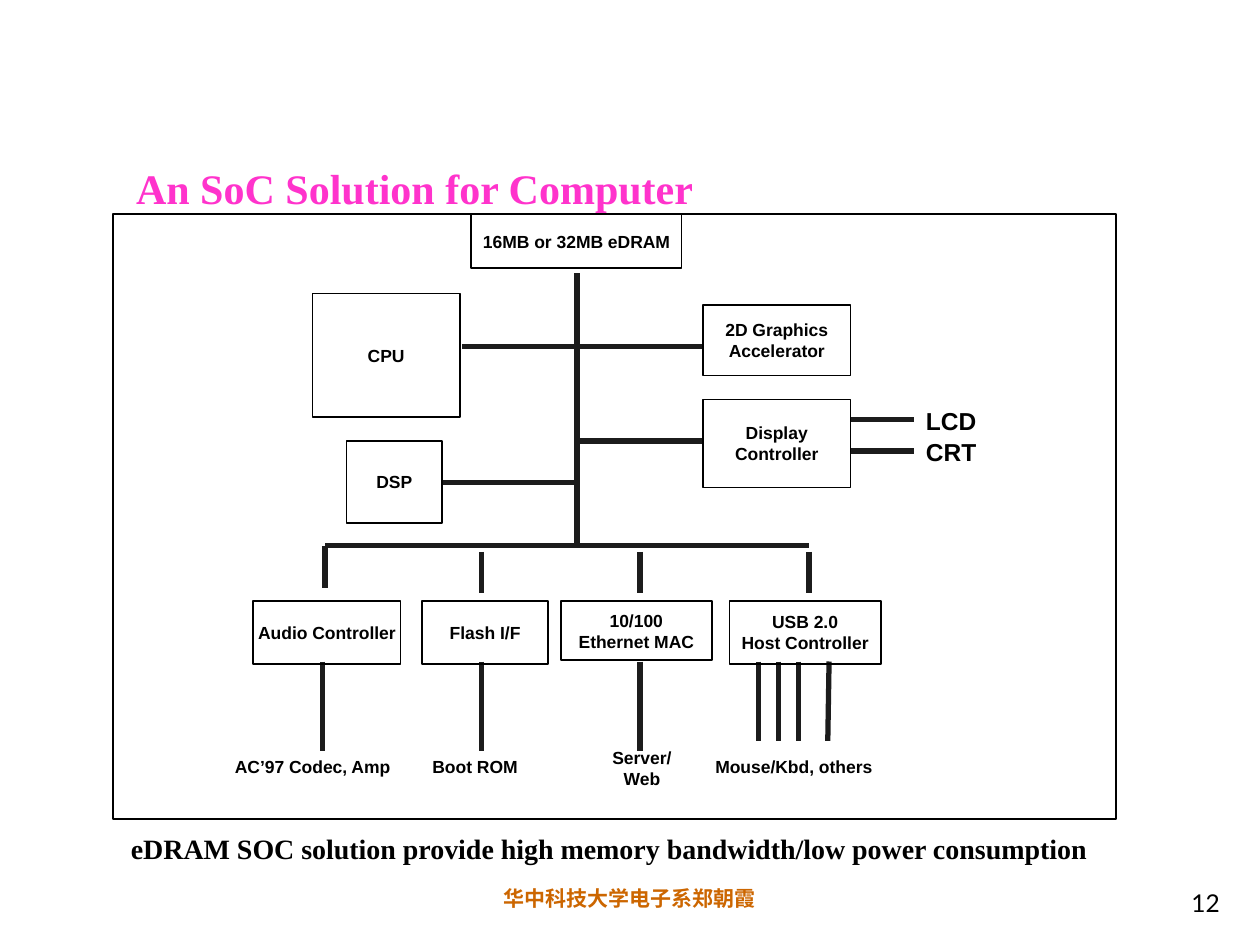
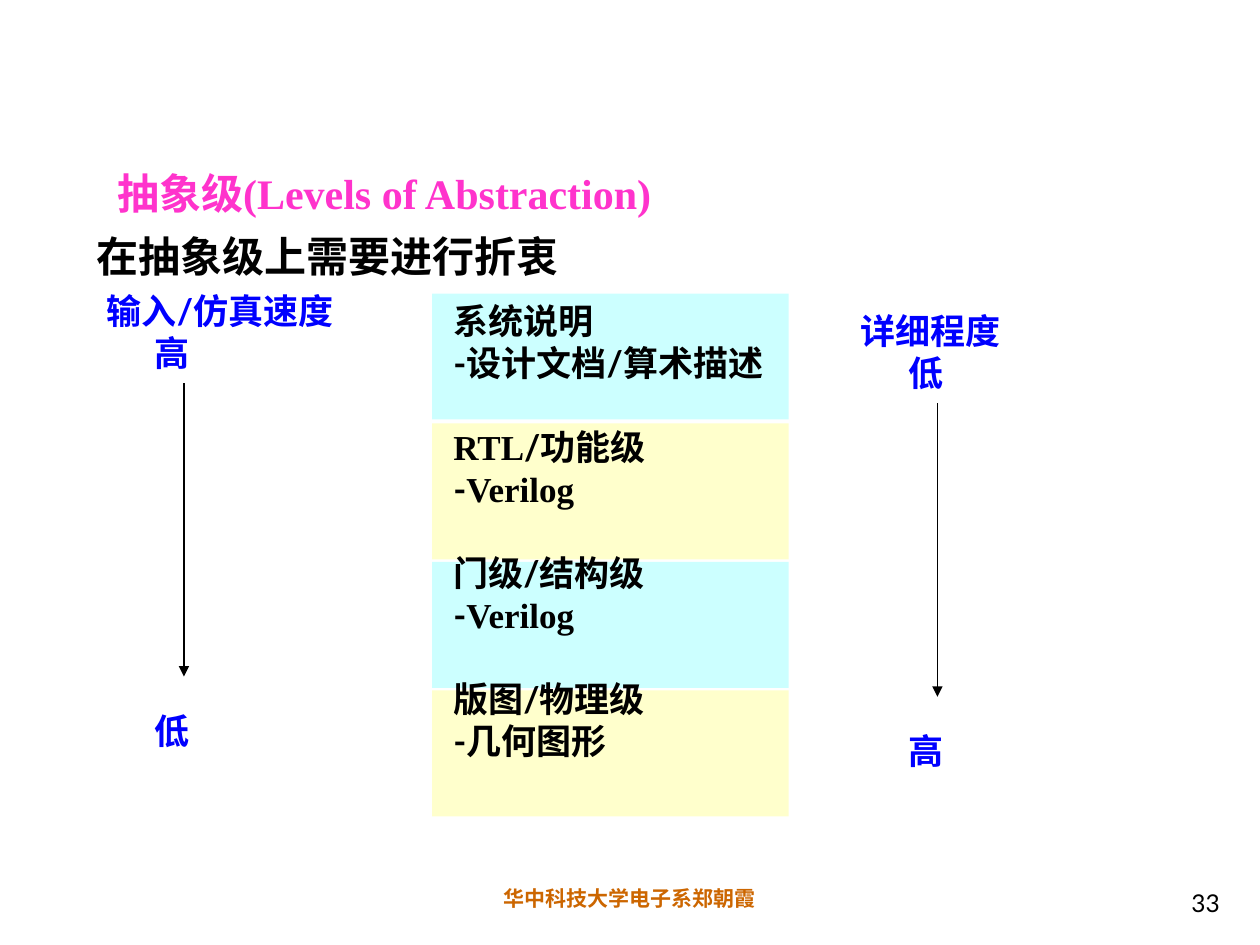
import dataclasses

import pptx
import pptx.dml.color
import pptx.enum.shapes
import pptx.enum.text
import pptx.oxml.ns
import pptx.util
from lxml import etree

Inches = pptx.util.Inches
Pt = pptx.util.Pt
ALIGN = pptx.enum.text.PP_ALIGN
ANCHOR = pptx.enum.text.MSO_ANCHOR
qn = pptx.oxml.ns.qn

HUES = {
    "ink": "000000",
    "pink": "FF33CC",
    "rust": "CC6600",
    "blue": "0000FF",
    "wire": "1C1C1C",
    "aqua": "CCFFFF",
    "cream": "FFFFCC",
}
SANS, LATO, SERIF = "Arial", "Lato", "Times New Roman"


@dataclasses.dataclass
class Row:
    """One paragraph: (text, font) runs, space before in points, left indent in inches."""
    runs: list
    gap: float = 0
    dent: float = 0


def rows(text, font):
    return [Row([(line, font)]) for line in text.split("\n")]


class Deck:
    def __init__(self):
        self.prs = pptx.Presentation()
        self.prs.slide_width = Inches(10)
        self.prs.slide_height = Inches(7.5)
        self.slide = None

    def hue(self, name):
        return pptx.dml.color.RGBColor.from_string(HUES[name])

    def place(self, shape, box):
        shape.left, shape.top, shape.width, shape.height = map(Inches, box)

    def letter(self, shape, lines, size, hue="ink", bold=True,
               align=ALIGN.LEFT, anchor=ANCHOR.TOP, wrap=True):
        frame = shape.text_frame
        frame.auto_size = pptx.enum.text.MSO_AUTO_SIZE.NONE
        frame.word_wrap = wrap
        frame.vertical_anchor = anchor
        for i, row in enumerate(lines):
            para = frame.paragraphs[0] if i == 0 else frame.add_paragraph()
            para.alignment = align
            para.space_before = Pt(row.gap)
            if row.dent:
                para._p.get_or_add_pPr().set("marL", str(Inches(row.dent)))
            for text, font in row.runs:
                run = para.add_run()
                run.text = text
                run.font.size = Pt(size)
                run.font.bold = bold
                run.font.name = font
                run.font.color.rgb = self.hue(hue)
                # Chinese characters always use the same face
                east = etree.SubElement(run._r.get_or_add_rPr(), qn("a:ea"))
                east.set("typeface", LATO)

    def page(self, number, box, runs):
        """Start a slide with its title, footer and page number."""
        self.slide = self.prs.slides.add_slide(self.prs.slide_layouts[5])
        title = self.slide.shapes.title
        self.place(title, box)
        self.letter(title, [Row(runs)], 24, "pink", anchor=ANCHOR.BOTTOM)
        self.text((0, 6.98, 10, 0.3), rows("华中科技大学电子系郑朝霞", LATO),
                  12, "rust", align=ALIGN.CENTER)
        self.text((7.7, 6.83, 2.08, 0.5), rows(number, LATO), 14, bold=False,
                  align=ALIGN.RIGHT, anchor=ANCHOR.BOTTOM)

    def text(self, box, lines, size, hue="ink", **style):
        shape = self.slide.shapes.add_textbox(*map(Inches, box))
        self.letter(shape, lines, size, hue, **style)

    def rect(self, box, label="", fill=None):
        """A filled band, or an outlined block with a centred label."""
        shape = self.slide.shapes.add_shape(
            pptx.enum.shapes.MSO_SHAPE.RECTANGLE, *map(Inches, box))
        shape.shadow.inherit = False
        if fill:
            shape.fill.solid()
            shape.fill.fore_color.rgb = self.hue(fill)
            shape.line.fill.background()
        else:
            shape.fill.background()
            shape.line.color.rgb = self.hue("ink")
            shape.line.width = Pt(1)
        if label:
            self.letter(shape, rows(label, SANS), 10, align=ALIGN.CENTER,
                        anchor=ANCHOR.MIDDLE, wrap=False)

    def line(self, x1, y1, x2, y2, hue="wire", width=3, arrow=False):
        wire = self.slide.shapes.add_connector(
            pptx.enum.shapes.MSO_CONNECTOR.STRAIGHT,
            *map(Inches, (x1, y1, x2, y2)))
        wire.line.color.rgb = self.hue(hue)
        wire.line.width = Pt(width)
        if arrow:
            tail = etree.SubElement(wire.line._get_or_add_ln(), qn("a:tailEnd"))
            tail.set("type", "triangle")
        etree.SubElement(wire._element.spPr, qn("a:effectLst"))


def draw_chip(deck):
    deck.page("12", (0.98, 1.23, 6.54, 0.51),
              [("An SoC Solution for Computer", SERIF)])
    deck.text((0.94, 6.55, 7.92, 0.4),
              rows("eDRAM SOC solution provide high memory bandwidth/"
                   "low power consumption", SERIF), 16)
    deck.rect((0.9, 1.7, 7.96, 4.8))

    # Main bus and its side branches
    bus, base = 4.58, 4.33
    deck.line(bus, 2.17, bus, base)
    deck.line(2.58, base, 6.42, base)
    for left, right, y in [(3.67, 5.58, 2.75), (bus, 5.58, 3.5),
                           (3.5, bus, 3.83)]:
        deck.line(left, y, right, y)

    # Drops from the bus to the ports
    deck.line(2.58, base, 2.58, 4.67)
    for x in (3.82, 5.08, 6.42):
        deck.line(x, 4.38, x, 4.71)

    # Screen outputs
    for name, y in [("LCD", 3.33), ("CRT", 3.58)]:
        deck.line(6.75, y, 7.25, y)
        deck.text((7.25, y - 0.16, 0.75, 0.34), rows(name, SANS), 14)

    # Lines leaving the ports
    for x in (2.56, 3.82, 5.08):
        deck.line(x, 5.25, x, 5.96)
    for x, foot in [(6.02, 6.02), (6.18, 6.18), (6.34, 6.34), (6.58, 6.57)]:
        deck.line(x, 5.25, foot, 5.88)

    # Outside devices
    for box, name in [
        ((1.69, 5.95, 1.58, 0.27), "AC’97 Codec, Amp"),
        ((3.27, 5.95, 1, 0.27), "Boot ROM"),
        ((4.76, 5.88, 0.67, 0.44), "Server/Web"),
        ((5.55, 5.95, 1.5, 0.27), "Mouse/Kbd, others"),
    ]:
        deck.text(box, rows(name, SANS), 10, align=ALIGN.CENTER)

    # Blocks on the chip
    for box, name in [
        ((3.74, 1.7, 1.67, 0.43), "16MB or 32MB eDRAM"),
        ((2.48, 2.33, 1.17, 0.98), "CPU"),
        ((2.75, 3.5, 0.76, 0.65), "DSP"),
        ((5.58, 2.42, 1.17, 0.56), "2D Graphics\nAccelerator"),
        ((5.58, 3.17, 1.17, 0.7), "Display\nController"),
        ((2.01, 4.77, 1.17, 0.5), "Audio Controller"),
        ((3.35, 4.77, 1, 0.5), "Flash I/F"),
        ((4.45, 4.77, 1.2, 0.47), "10/100\nEthernet MAC"),
        ((5.79, 4.77, 1.2, 0.5), "USB 2.0\nHost Controller"),
    ]:
        deck.rect(box, name)


def draw_levels(deck):
    deck.page("33", (0.83, 1.31, 8.47, 0.47),
              [("抽象级", LATO), ("(Levels of Abstraction)", SERIF)])
    deck.text((0.67, 1.78, 7.94, 0.39), rows("在抽象级上需要进行折衷", LATO), 24)

    # Bands, one per level
    for top, tall, fill in [(2.33, 1, "aqua"), (3.36, 1.08, "cream"),
                            (4.46, 1, "aqua"), (5.48, 1, "cream")]:
        deck.rect((3.43, top, 2.83, tall), fill=fill)

    # Level names, one text line (24 pt) apart
    code = [("-", LATO), ("Verilog", SERIF)]
    levels = [
        ([("系统说明", LATO)], [("-设计文档/算术描述", LATO)]),
        ([("RTL", SERIF), ("/功能级", LATO)], code),
        ([("门级/结构级", LATO)], code),
        ([("版图/物理级", LATO)], [("-几何图形", LATO)]),
    ]
    lines = []
    for i, (name, form) in enumerate(levels):
        lines += [Row(name, gap=24 if i else 0), Row(form)]
    deck.text((3.5, 2.33, 2.67, 4.1), lines, 20)

    # Scales on both sides
    for left, top, name, start, end in [
        (0.75, 2.25, "输入/仿真速度", "高", "低"),
        (6.73, 2.41, "详细程度", "低", "高"),
    ]:
        scale = [Row([(name, LATO)]), Row([(start, LATO)], dent=0.38),
                 Row([(end, LATO)], gap=8 * 24, dent=0.38)]
        deck.text((left, top, 2.67, 3.77), scale, 20, "blue")
        x, y = left + 0.71, top + 0.79
        deck.line(x, y, x, y + 2.33, "ink", 0.75, arrow=True)


def main():
    deck = Deck()
    draw_chip(deck)
    draw_levels(deck)
    deck.prs.save("out.pptx")


if __name__ == "__main__":
    main()
